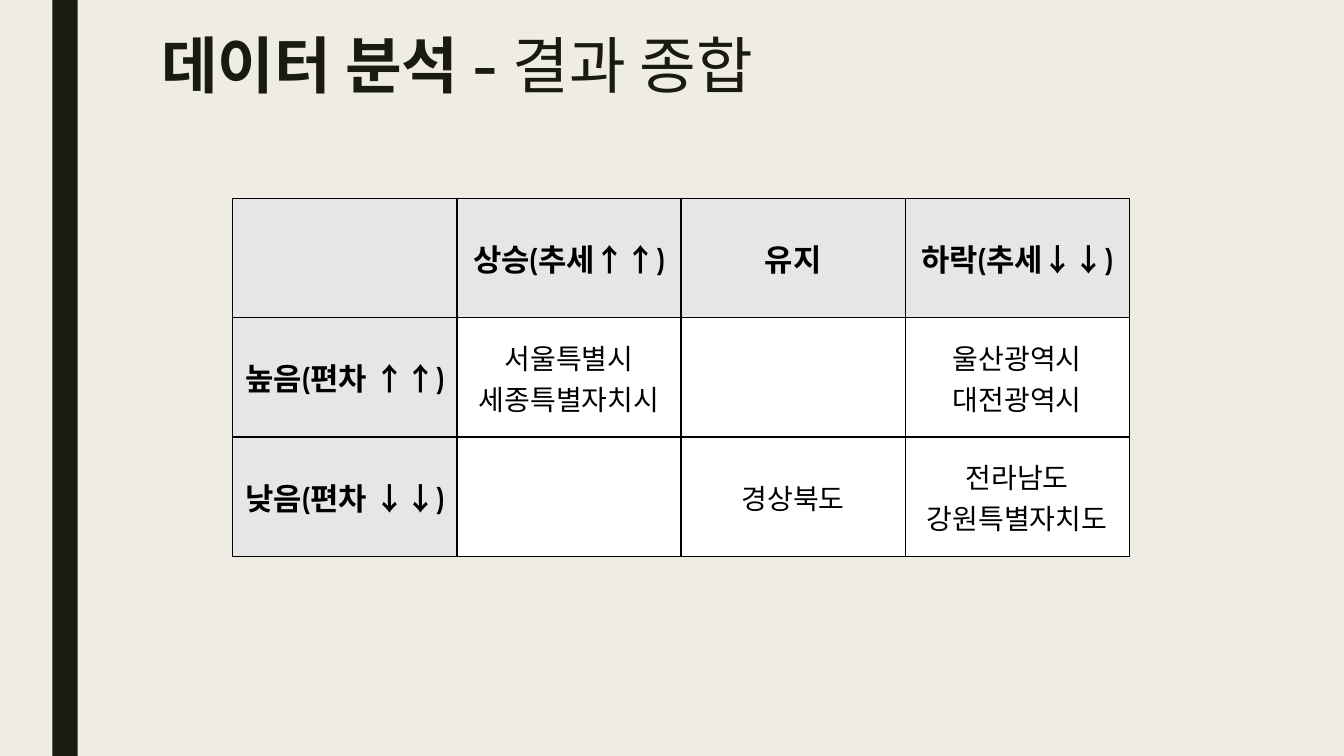
from lxml import etree
from pptx import Presentation, util as u
from pptx.dml.color import RGBColor
from pptx.enum import shapes, text
from pptx.oxml.ns import qn

CREAM = RGBColor(0xEF, 0xED, 0xE3)
OLIVE = RGBColor(0x19, 0x1B, 0x0E)
GREY = RGBColor(0xE6, 0xE6, 0xE6)
WHITE = RGBColor(0xFF, 0xFF, 0xFF)
BLACK = RGBColor(0, 0, 0)

RESULTS = [
    ["", "상승(추세↑↑)", "유지", "하락(추세↓↓)"],
    ["높음(편차 ↑↑)", "서울특별시\n세종특별자치시", "", "울산광역시\n대전광역시"],
    ["낮음(편차 ↓↓)", "", "경상북도", "전라남도\n강원특별자치도"],
]


class SlideBuilder:
    """Draws styled elements on the current slide."""

    font = "Cabin"

    def __init__(self, slide):
        self.slide = slide
        slide.background.fill.solid()
        slide.background.fill.fore_color.rgb = CREAM

    def style(self, font, size, color, bold=None):
        font.name, font.size, font.bold = self.font, u.Pt(size), bold
        font.color.rgb = color

    def bar(self, left, top, width, height):
        stripe = self.slide.shapes.add_shape(
            shapes.MSO_SHAPE.RECTANGLE, *map(u.Inches, (left, top, width, height)))
        stripe.shadow.inherit = False
        stripe.fill.solid()
        stripe.fill.fore_color.rgb = OLIVE
        stripe.line.fill.background()

    def title(self, topic, subtopic, left, top, width, height):
        frame = self.slide.shapes.add_textbox(
            *map(u.Inches, (left, top, width, height))).text_frame
        frame.word_wrap = True
        heading = frame.paragraphs[0]
        heading.line_spacing = 0.89
        self.style(heading.font, 44, OLIVE)
        for wording, bold in ((topic, True), (subtopic, False)):
            part = heading.add_run()
            part.text = wording
            self.style(part.font, 44, OLIVE, bold)

    def border(self, cell):
        properties = cell._tc.get_or_add_tcPr()
        for position, side in enumerate(("lnL", "lnR", "lnT", "lnB")):
            edge = etree.Element(qn(f"a:{side}"), w=str(u.Pt(1)))
            fill = etree.SubElement(edge, qn("a:solidFill"))
            etree.SubElement(fill, qn("a:srgbClr"), val=str(BLACK))
            properties.insert(position, edge)

    def table(self, rows, left, top, width, height):
        grid = self.slide.shapes.add_table(
            len(rows), len(rows[0]), *map(u.Inches, (left, top, width, height))).table
        for r, row in enumerate(rows):
            for c, wording in enumerate(row):
                header = r == 0 or c == 0
                cell = grid.cell(r, c)
                cell.text = wording
                cell.vertical_anchor = text.MSO_ANCHOR.MIDDLE
                cell.fill.solid()
                cell.fill.fore_color.rgb = GREY if header else WHITE
                self.border(cell)
                for line in cell.text_frame.paragraphs:
                    line.alignment = text.PP_ALIGN.CENTER
                    self.style(line.font, 22 if header else 20, BLACK, header)


def main():
    deck = Presentation()
    deck.slide_width, deck.slide_height = u.Inches(13.33), u.Inches(7.5)
    page = SlideBuilder(deck.slides.add_slide(deck.slide_layouts[6]))
    page.bar(0.52, 0, 0.25, 7.5)
    page.title("데이터 분석 - ", "결과 종합", 1.5, 0.31, 10.5, 1.62)
    page.table(RESULTS, 2.31, 1.97, 8.89, 3.55)
    deck.save("out.pptx")


if __name__ == "__main__":
    main()
